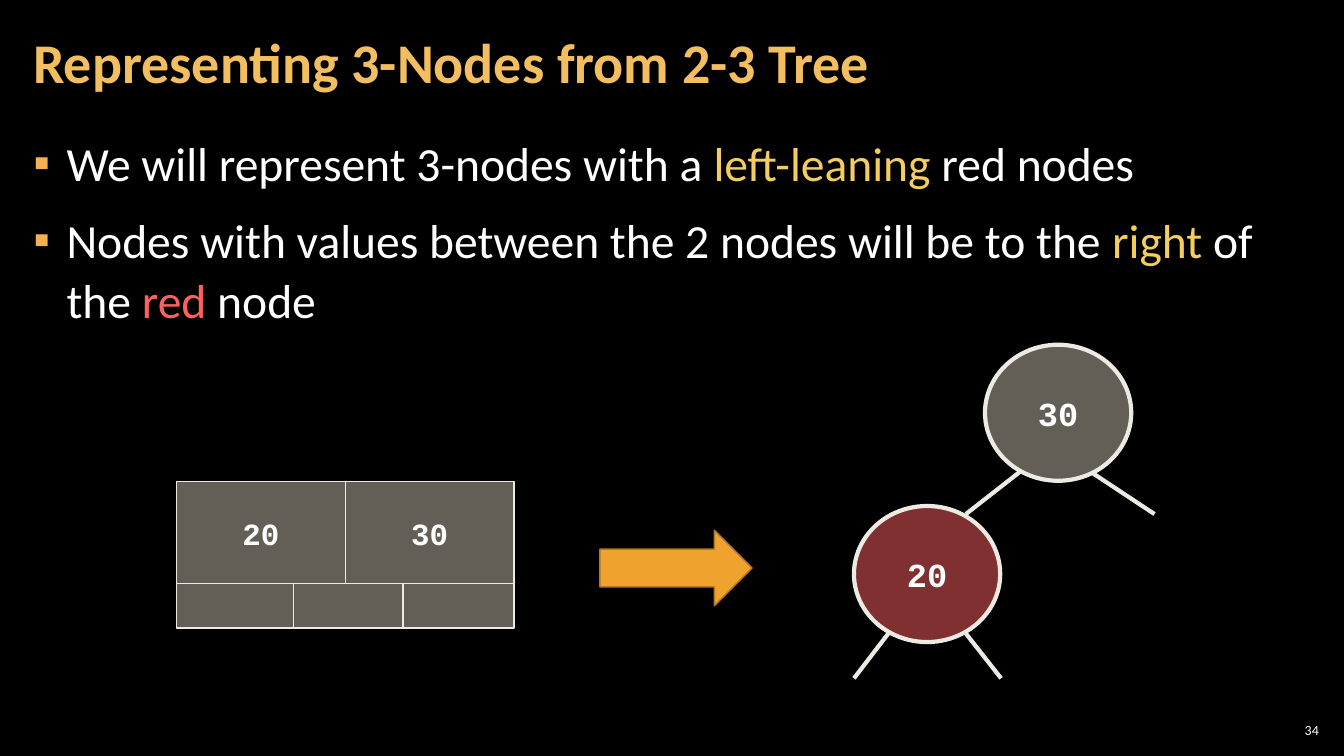
from lxml.etree import SubElement
from pptx import Presentation
from pptx.dml.color import RGBColor
from pptx.enum.shapes import MSO_CONNECTOR, MSO_SHAPE
from pptx.enum.text import MSO_ANCHOR, MSO_AUTO_SIZE, PP_ALIGN
from pptx.oxml.ns import qn
from pptx.util import Inches, Pt

WHITE, YELLOW, RED = "FFFFFF", "F3CD60", "FF6161"
STONE, OUTLINE = "C7BFAC", "ECEAE3"


def color(hex_string):
    return RGBColor.from_string(hex_string)


class SlideBuilder:
    """Draws on one slide; lengths are percentages of its width and height."""

    text_font = "Calibri"
    key_font = "Courier New"

    def __init__(self, presentation, background):
        self.width = presentation.slide_width
        self.height = presentation.slide_height
        self.slide = presentation.slides.add_slide(presentation.slide_layouts[5])
        self.slide.background.fill.solid()
        self.slide.background.fill.fore_color.rgb = color(background)

    def point(self, x, y):
        return round(self.width * x / 100), round(self.height * y / 100)

    def box(self, left, top, width, height):
        return *self.point(left, top), *self.point(width, height)

    def format_font(self, font, size, hex_string, name=text_font, bold=False):
        font.name, font.size, font.bold = name, Pt(size), bold
        font.color.rgb = color(hex_string)

    def format_frame(self, frame, anchor, side=0.12):
        frame.word_wrap = True
        frame.auto_size = MSO_AUTO_SIZE.NONE
        frame.vertical_anchor = anchor
        frame.margin_left = frame.margin_right = Inches(side)
        frame.margin_top = frame.margin_bottom = Inches(0.04)

    def title(self, text, box):
        shape = self.slide.shapes.title
        shape.left, shape.top, shape.width, shape.height = self.box(*box)
        self.format_frame(shape.text_frame, MSO_ANCHOR.MIDDLE)
        shape.text_frame.text = text
        paragraph = shape.text_frame.paragraphs[0]
        paragraph.alignment = PP_ALIGN.LEFT
        paragraph.line_spacing = 0.9
        self.format_font(paragraph.runs[0].font, 40, "F3BE60", bold=True)

    def bullets(self, items, box):
        """Each item is a list of (text, colour) pairs."""
        frame = self.slide.shapes.add_textbox(*self.box(*box)).text_frame
        self.format_frame(frame, MSO_ANCHOR.TOP)
        for index, item in enumerate(items):
            paragraph = frame.add_paragraph() if index else frame.paragraphs[0]
            paragraph.line_spacing = 1.05
            paragraph.space_before = paragraph.space_after = Pt(6)
            self.add_bullet(paragraph)
            for text, hex_string in item:
                run = paragraph.add_run()
                run.text = text
                self.format_font(run.font, 34, hex_string)

    def add_bullet(self, paragraph):
        properties = paragraph._p.get_or_add_pPr()
        indent = Inches(0.33)
        properties.set("marL", str(indent))
        properties.set("indent", str(-indent))
        bullet_color = SubElement(properties, qn("a:buClr"))
        SubElement(bullet_color, qn("a:srgbClr"), val="F2B254")
        SubElement(properties, qn("a:buFont"), typeface="Arial")
        SubElement(properties, qn("a:buChar"), char="▪")

    def slide_number(self, text, box):
        frame = self.slide.shapes.add_textbox(*self.box(*box)).text_frame
        self.format_frame(frame, MSO_ANCHOR.MIDDLE, side=0.04)
        frame.text = text
        frame.paragraphs[0].alignment = PP_ALIGN.RIGHT
        self.format_font(frame.paragraphs[0].runs[0].font, 10, WHITE)

    def shape(self, kind, box, fill, outline=OUTLINE, line_width=1, opacity=50):
        shape = self.slide.shapes.add_shape(kind, *self.box(*box))
        shape.shadow.inherit = False
        shape.fill.solid()
        shape.fill.fore_color.rgb = color(fill)
        if opacity < 100:
            fill_color = shape._element.spPr.find(qn("a:solidFill"))[0]
            SubElement(fill_color, qn("a:alpha"), val=str(opacity * 1000))
        shape.line.color.rgb = color(outline)
        shape.line.width = Pt(line_width)
        return shape

    def label(self, shape, text, size, wrap=True):
        frame = shape.text_frame
        frame.word_wrap = wrap
        frame.vertical_anchor = MSO_ANCHOR.MIDDLE
        frame.text = text
        frame.paragraphs[0].alignment = PP_ALIGN.CENTER
        self.format_font(frame.paragraphs[0].runs[0].font, size, WHITE, self.key_font, True)

    def key_cell(self, text, box):
        self.label(self.shape(MSO_SHAPE.RECTANGLE, box, STONE), text, 22)

    def tree_node(self, text, left, top, fill):
        node = self.shape(MSO_SHAPE.OVAL, (left, top, 10.88, 18), fill, line_width=3)
        self.label(node, text, 24, wrap=False)

    def branch(self, start, end):
        line = self.slide.shapes.add_connector(
            MSO_CONNECTOR.STRAIGHT, *self.point(*start), *self.point(*end))
        line.line.color.rgb = color(OUTLINE)
        line.line.width = Pt(3)
        SubElement(line._element.spPr, qn("a:effectLst"))


def main():
    presentation = Presentation()
    presentation.slide_width, presentation.slide_height = Inches(13.33), Inches(7.5)
    builder = SlideBuilder(presentation, "000000")

    builder.title("Representing 3-Nodes from 2-3 Tree", (1.58, 0.53, 78.54, 16.13))
    builder.bullets([
        [("We will represent 3-nodes with a ", WHITE), ("left-leaning", YELLOW),
         (" red nodes", WHITE)],
        [("Nodes with values between the 2 nodes will be to the ", WHITE),
         ("right", YELLOW), (" of the ", WHITE), ("red", RED), (" node", WHITE)],
    ], (1.58, 16.8, 96.85, 81.2))
    builder.slide_number("34", (94.9, 95.2, 3.53, 2.8))

    left, key_top, key_width, key_height = 13.13, 63.73, 12.56, 13.47
    for column, key in enumerate(("20", "30")):
        builder.key_cell(key, (left + column * key_width, key_top, key_width, key_height))
    for child_width in (8.73, 8.14, 8.25):
        child_box = (left, key_top + key_height, child_width, 5.87)
        builder.shape(MSO_SHAPE.RECTANGLE, child_box, STONE)
        left += child_width

    builder.shape(MSO_SHAPE.RIGHT_ARROW, (44.64, 70.13, 11.33, 10), "F0A22E",
                  outline="B27822", opacity=100)

    builder.tree_node("30", 73.29, 45.6, STONE)
    builder.tree_node("20", 63.54, 66.93, RED)
    for start, end in (
        ((75.99, 62.27), (71.87, 68)),
        ((81.25, 62.53), (85.9, 68)),
        ((71.72, 83.47), (74.49, 89.73)),
        ((66.24, 83.47), (63.54, 89.73)),
    ):
        builder.branch(start, end)

    presentation.save("out.pptx")


if __name__ == "__main__":
    main()
